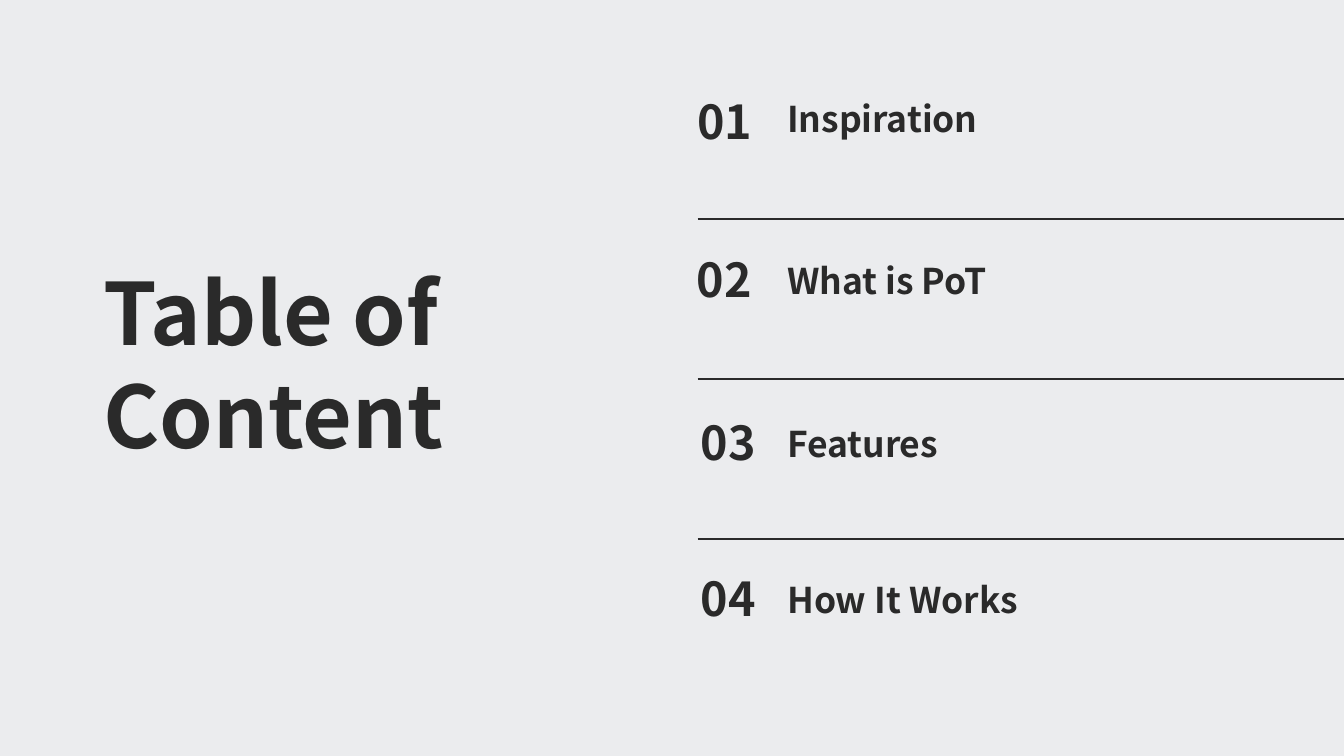
from dataclasses import dataclass

from pptx import Presentation
from pptx.dml.color import RGBColor
from pptx.enum.shapes import MSO_CONNECTOR as Connector
from pptx.enum.text import MSO_ANCHOR as Anchor, MSO_AUTO_SIZE as AutoSize, PP_ALIGN as Align
from pptx.oxml.xmlchemy import OxmlElement
from pptx.shapes.base import BaseShape
from pptx.slide import Slide
from pptx.util import Inches, Pt

BACKGROUND = RGBColor(0xEB, 0xEC, 0xEE)
INK = RGBColor(0x2A, 0x2A, 0x2A)
FONT = "Noto Sans CJK JP"
RULE_LEFT, RULE_RIGHT = 5.19, 10.06
RULE_TOP, RULE_STEP = 1.63, 1.19


@dataclass
class Entry:
    label: str
    number_left: float
    number_top: float
    number_width: float
    label_top: float


ENTRIES = [
    Entry("Inspiration", 4.93, 0.59, 0.93, 0.62),
    Entry("What is PoT", 4.9, 1.77, 0.98, 1.83),
    Entry("Features", 4.93, 2.98, 0.98, 3.04),
    Entry("How It Works", 4.93, 4.14, 0.98, 4.2),
]


def write(box: BaseShape, text: str, size: float, align: Align = Align.LEFT) -> None:
    """Fill a box with one bold paragraph that starts at its top."""
    frame = box.text_frame
    frame.text = text
    frame.word_wrap = True
    frame.auto_size = AutoSize.NONE
    frame.vertical_anchor = Anchor.TOP
    frame.margin_left = frame.margin_right = Inches(0.1)
    frame.margin_top = frame.margin_bottom = Inches(0.1)
    para = frame.paragraphs[0]
    para.alignment = align
    font = para.runs[0].font
    font.name, font.size, font.bold = FONT, Pt(size), True
    font.color.rgb = INK


def add_title(page: Slide) -> None:
    """Place the slide title at the left."""
    title = page.shapes.title
    title.left, title.top = Inches(0.67), Inches(1.83)
    title.width, title.height = Inches(3.91), Inches(1.65)
    write(title, "Table of Content", 46)


def add_entry(page: Slide, number: int, entry: Entry) -> None:
    """Add the number and the label of one entry."""
    number_box = page.shapes.add_textbox(
        Inches(entry.number_left), Inches(entry.number_top),
        Inches(entry.number_width), Inches(0.59))
    write(number_box, f"{number:02d}", 25, Align.CENTER)
    label_box = page.shapes.add_textbox(
        Inches(5.76), Inches(entry.label_top), Inches(2.7), Inches(0.47))
    write(label_box, entry.label, 19)


def add_rule(page: Slide, top: float) -> None:
    """Draw a thin separator between two entries."""
    rule = page.shapes.add_connector(
        Connector.STRAIGHT, Inches(RULE_LEFT), Inches(top), Inches(RULE_RIGHT), Inches(top))
    rule.line.color.rgb = INK
    rule.line.width = Pt(0.75)
    rule._element.spPr.append(OxmlElement("a:effectLst"))


def main() -> None:
    """Build the contents slide and save it."""
    deck = Presentation()
    deck.slide_width, deck.slide_height = Inches(10), Pt(405)
    page = deck.slides.add_slide(deck.slide_layouts[5])
    page.background.fill.solid()
    page.background.fill.fore_color.rgb = BACKGROUND
    add_title(page)
    for number, entry in enumerate(ENTRIES, start=1):
        add_entry(page, number, entry)
    for gap in range(len(ENTRIES) - 1):
        add_rule(page, RULE_TOP + gap * RULE_STEP)
    deck.save("out.pptx")


if __name__ == "__main__":
    main()
